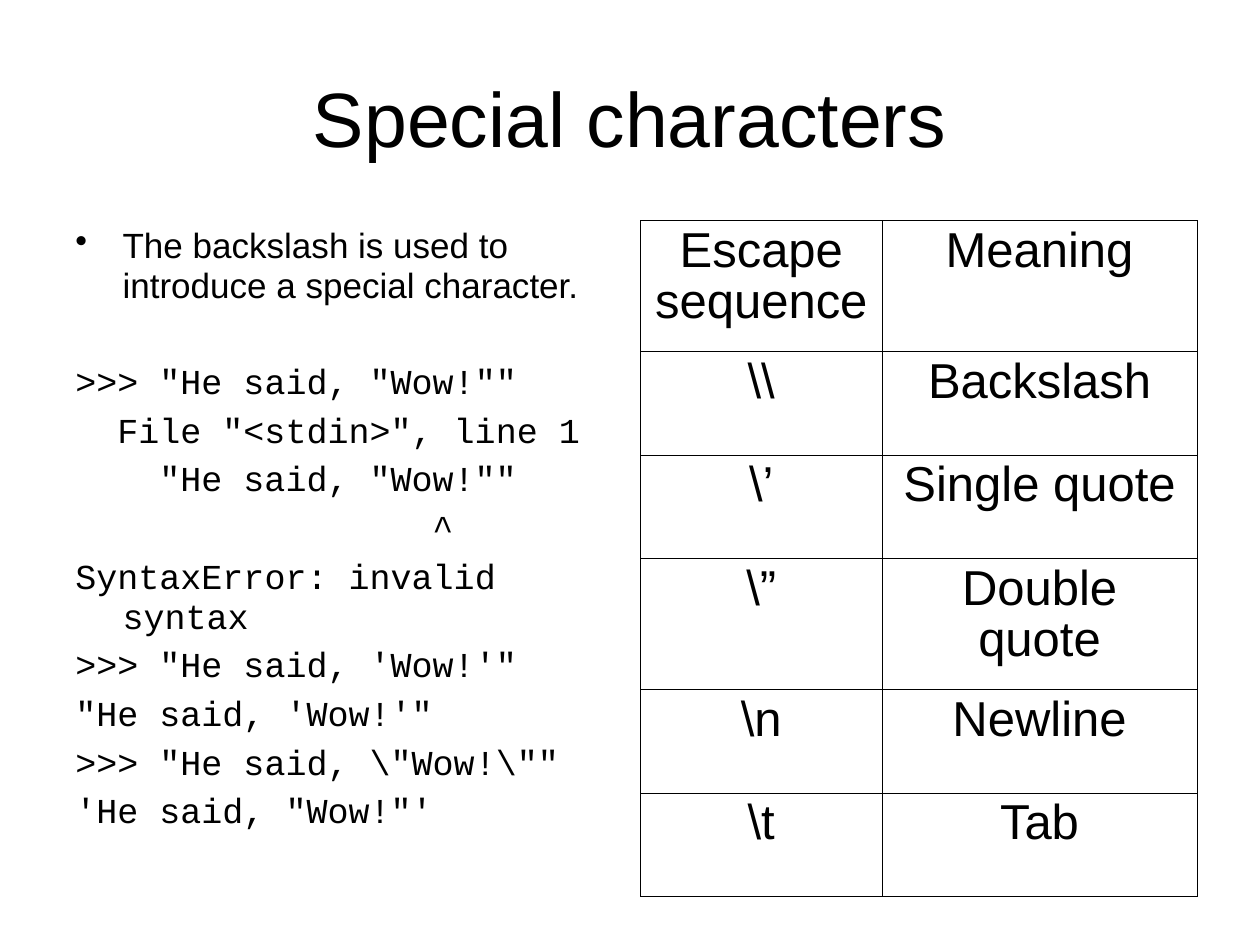
from pptx import Presentation
from pptx import util as u
from pptx.dml import color
from pptx.enum import text
from pptx.oxml import ns
from lxml import etree

Pt = u.Pt
COLORS = {"ink": "000000", "paper": "FFFFFF"}

presentation = Presentation()
presentation.slide_width, presentation.slide_height = Pt(720), Pt(540)
slide = presentation.slides.add_slide(presentation.slide_layouts[6])
slide.background.fill.solid()
slide.background.fill.fore_color.rgb = color.RGBColor.from_string(COLORS["paper"])


def style(paragraph, size, font="Arial", spacing=None, before=0):
    paragraph.line_spacing = spacing
    paragraph.space_before = Pt(before)
    for run in paragraph.runs:
        run.font.size = Pt(size)
        run.font.name = font
        run.font.color.rgb = color.RGBColor.from_string(COLORS["ink"])


def add_border(cell, side, width):
    line = etree.SubElement(cell._tc.get_or_add_tcPr(), ns.qn("a:" + side), w=str(int(Pt(width))))
    fill = etree.SubElement(line, ns.qn("a:solidFill"))
    etree.SubElement(fill, ns.qn("a:srgbClr"), val=COLORS["ink"])


# Title
title = slide.shapes.add_textbox(Pt(36), Pt(21.6), Pt(648), Pt(90)).text_frame
title.word_wrap = True
title.vertical_anchor = text.MSO_ANCHOR.MIDDLE
title.text = "Special characters"
title.paragraphs[0].alignment = text.PP_ALIGN.CENTER
style(title.paragraphs[0], 44)

# Explanation, then the interpreter session
HANGING = 27
CHARACTER_WIDTH = 12
body = slide.shapes.add_textbox(Pt(36), Pt(126), Pt(318), Pt(356.4)).text_frame
body.word_wrap = True
body.text = "The backslash is used to introduce a special character."
bullet = body.paragraphs[0]
style(bullet, 20, spacing=0.95, before=5)
properties = bullet._p.get_or_add_pPr()
properties.set("marL", str(int(Pt(HANGING))))
properties.set("indent", str(int(Pt(-HANGING))))
etree.SubElement(properties, ns.qn("a:buChar"), char="•")

# Each line of the session with its indent in characters
session = [
    (0, '>>> "He said, "Wow!""'),
    (2, 'File "<stdin>", line 1'),
    (4, '"He said, "Wow!""'),
    (17, "^"),
    (0, "SyntaxError: invalid syntax"),
    (0, ">>> \"He said, 'Wow!'\""),
    (0, "\"He said, 'Wow!'\""),
    (0, r'>>> "He said, \"Wow!\""'),
    (0, "'He said, \"Wow!\"'"),
]
for number, (indent, code) in enumerate(session):
    paragraph = body.add_paragraph()
    paragraph.text = code
    style(paragraph, 20, "Courier New", 0.95, 5 if number else 32)
    first_line = indent * CHARACTER_WIDTH
    properties = paragraph._p.get_or_add_pPr()
    properties.set("marL", str(int(Pt(HANGING))))
    properties.set("indent", str(int(Pt(first_line - HANGING))))

# Table of escape sequences
rows = [
    ("Escape sequence", "Meaning"),
    (r"\\", "Backslash"),
    (r"\’", "Single quote"),
    (r"\”", "Double quote"),
    (r"\n", "Newline"),
    (r"\t", "Tab"),
]
row_heights = [74.9, 59.1, 59.1, 74.9, 59.1, 59.1]
table = slide.shapes.add_table(len(rows), 2, Pt(366), Pt(126), Pt(318), Pt(sum(row_heights))).table
for column, width in zip(table.columns, (138, 180)):
    column.width = Pt(width)
for row, height in zip(table.rows, row_heights):
    row.height = Pt(height)

OUTER, INNER = 0.5, 0.23
for row_index, values in enumerate(rows):
    for column_index, value in enumerate(values):
        cell = table.cell(row_index, column_index)
        cell.text = value
        paragraph = cell.text_frame.paragraphs[0]
        paragraph.alignment = text.PP_ALIGN.CENTER
        style(paragraph, 28, spacing=0.93, before=7)
        edges = {
            "lnL": column_index == 0,
            "lnR": column_index == 1,
            "lnT": row_index == 0,
            "lnB": row_index == len(rows) - 1,
        }
        for side, is_outer in edges.items():
            add_border(cell, side, OUTER if is_outer else INNER)
        cell.fill.background()

presentation.save("out.pptx")
